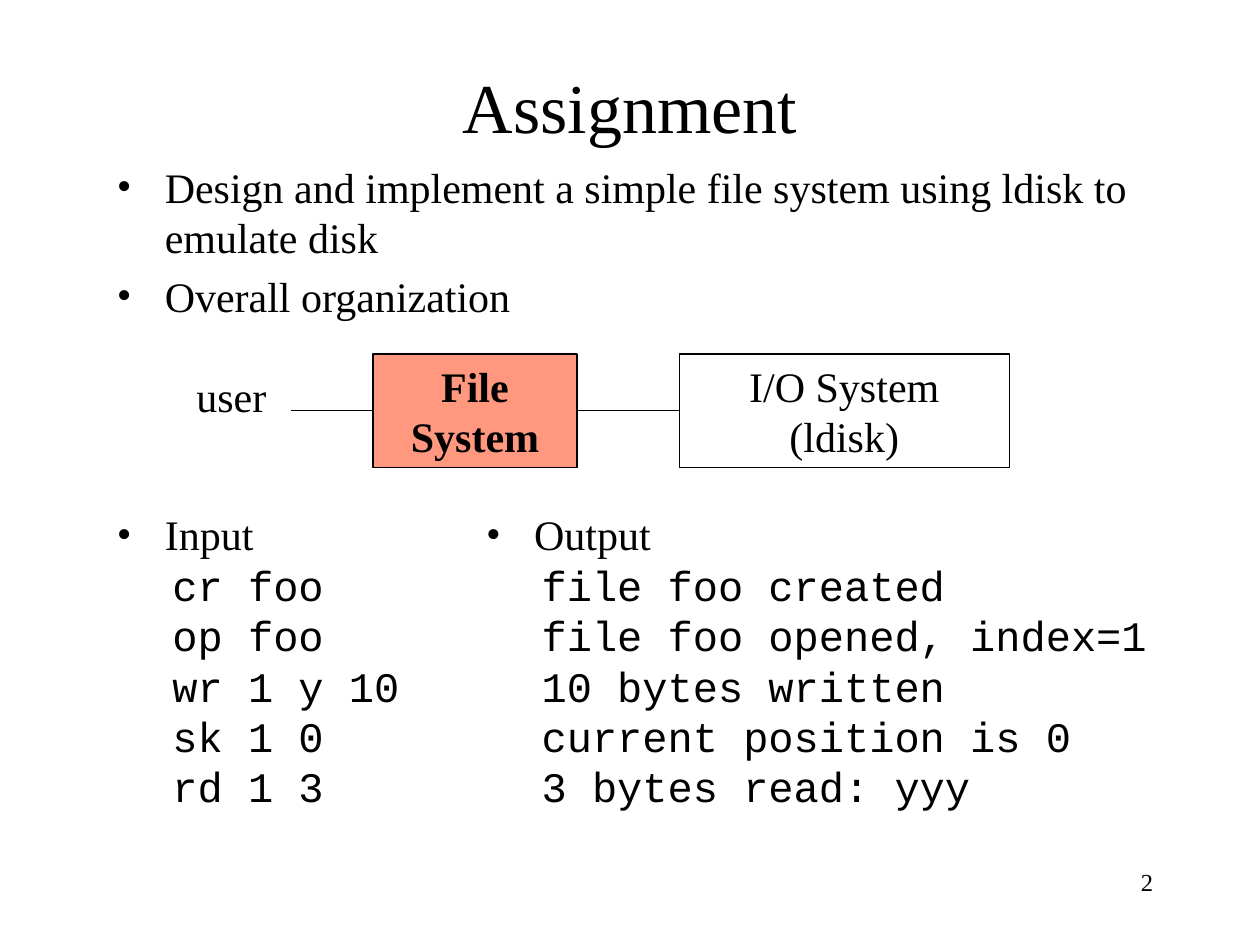
from lxml import etree
from pptx import Presentation
from pptx.dml.color import RGBColor
from pptx.enum.shapes import MSO_CONNECTOR, MSO_SHAPE
from pptx.enum.text import MSO_ANCHOR, MSO_AUTO_SIZE, PP_ALIGN
from pptx.oxml.ns import qn
from pptx.util import Inches, Pt

RECTANGLE = MSO_SHAPE.RECTANGLE
STRAIGHT = MSO_CONNECTOR.STRAIGHT
MIDDLE = MSO_ANCHOR.MIDDLE
TOP = MSO_ANCHOR.TOP
NO_AUTOFIT = MSO_AUTO_SIZE.NONE
LEFT, CENTER, RIGHT = PP_ALIGN.LEFT, PP_ALIGN.CENTER, PP_ALIGN.RIGHT
COLORS = {"ink": "000000", "highlight": "FF3300"}
SERIF, MONO = "Times New Roman", "Courier New"

presentation = Presentation()
presentation.slide_width = Inches(10)
presentation.slide_height = Inches(7.5)
column = presentation.slide_width / 100
row = presentation.slide_height / 75
slide = presentation.slides.add_slide(presentation.slide_layouts[5])


def place(columns, rows):
    left, width = (int(value * column) for value in columns)
    top, height = (int(value * row) for value in rows)
    return left, top, width, height


def write(shape, lines, size=24, align=LEFT, anchor=TOP, bold=False, bulleted=0):
    frame = shape.text_frame
    frame.word_wrap = True
    frame.auto_size = NO_AUTOFIT
    frame.vertical_anchor = anchor
    for index, line in enumerate(lines):
        paragraph = frame.paragraphs[0] if index == 0 else frame.add_paragraph()
        paragraph.alignment = align
        run = paragraph.add_run()
        run.text = line
        run.font.name = SERIF
        run.font.size = Pt(size)
        run.font.bold = bold
        run.font.color.rgb = RGBColor.from_string(COLORS["ink"])
        properties = paragraph._p.get_or_add_pPr()
        if index < bulleted:
            paragraph.space_before = Pt(5)
            properties.set("marL", str(Inches(0.38)))
            properties.set("indent", str(-Inches(0.38)))
            etree.SubElement(properties, qn("a:buFont"), typeface=SERIF)
            etree.SubElement(properties, qn("a:buChar"), char="•")
        elif bulleted:
            run.font.name = MONO
            properties.set("marL", str(Inches(0.44)))
            properties.set("indent", "0")


title = slide.shapes.title
title.left, title.top, title.width, title.height = place((7.5, 85), (4.2, 8.3))
write(title, ["Assignment"], size=40, align=CENTER, anchor=MIDDLE)

goals = [
    "Design and implement a simple file system using ldisk to emulate disk",
    "Overall organization",
]
commands = ["Input", "cr foo", "op foo", "wr 1 y 10", "sk 1 0", "rd 1 3"]
responses = [
    "Output",
    "file foo created",
    "file foo opened, index=1",
    "10 bytes written",
    "current position is 0",
    "3 bytes read: yyy",
]
for lines, bulleted, columns, rows in [
    (goals, 2, (8.3, 85), (12.3, 14.2)),
    (commands, 1, (8.3, 31.5), (39.9, 30)),
    (responses, 1, (37.6, 58.1), (39.9, 30)),
]:
    write(slide.shapes.add_textbox(*place(columns, rows)), lines, bulleted=bulleted)

user = slide.shapes.add_textbox(*place((14.6, 8.5), (28.9, 7.4)))
write(user, ["user"])

stages = [user]
for lines, columns, bold in [
    (["File", "System"], (29.6, 16.2), True),
    (["I/O System", "(ldisk)"], (53.9, 26.2), False),
]:
    stage = slide.shapes.add_shape(RECTANGLE, *place(columns, (28.1, 9)))
    stage.shadow.inherit = False
    stage.fill.background()
    stage.line.color.rgb = RGBColor.from_string(COLORS["ink"])
    stage.line.width = Pt(0.75)
    write(stage, lines, align=CENTER, anchor=MIDDLE, bold=bold)
    stages.append(stage)

file_system = stages[1]
file_system.fill.solid()
file_system.fill.fore_color.rgb = RGBColor.from_string(COLORS["highlight"])
fill_color = file_system._element.spPr.find(qn("a:solidFill")).find(qn("a:srgbClr"))
etree.SubElement(fill_color, qn("a:alpha"), val="50000")

for source, target in zip(stages, stages[1:]):
    link = slide.shapes.add_connector(STRAIGHT, 0, 0, 0, 0)
    link.begin_connect(source, 3)
    link.end_connect(target, 1)
    link.line.color.rgb = RGBColor.from_string(COLORS["ink"])
    link.line.width = Pt(0.75)
    etree.SubElement(link._element.spPr, qn("a:effectLst"))

page_number = slide.shapes.add_textbox(*place((71.7, 20.8), (68.3, 5)))
write(page_number, ["2"], size=14, align=RIGHT)

presentation.save("out.pptx")
